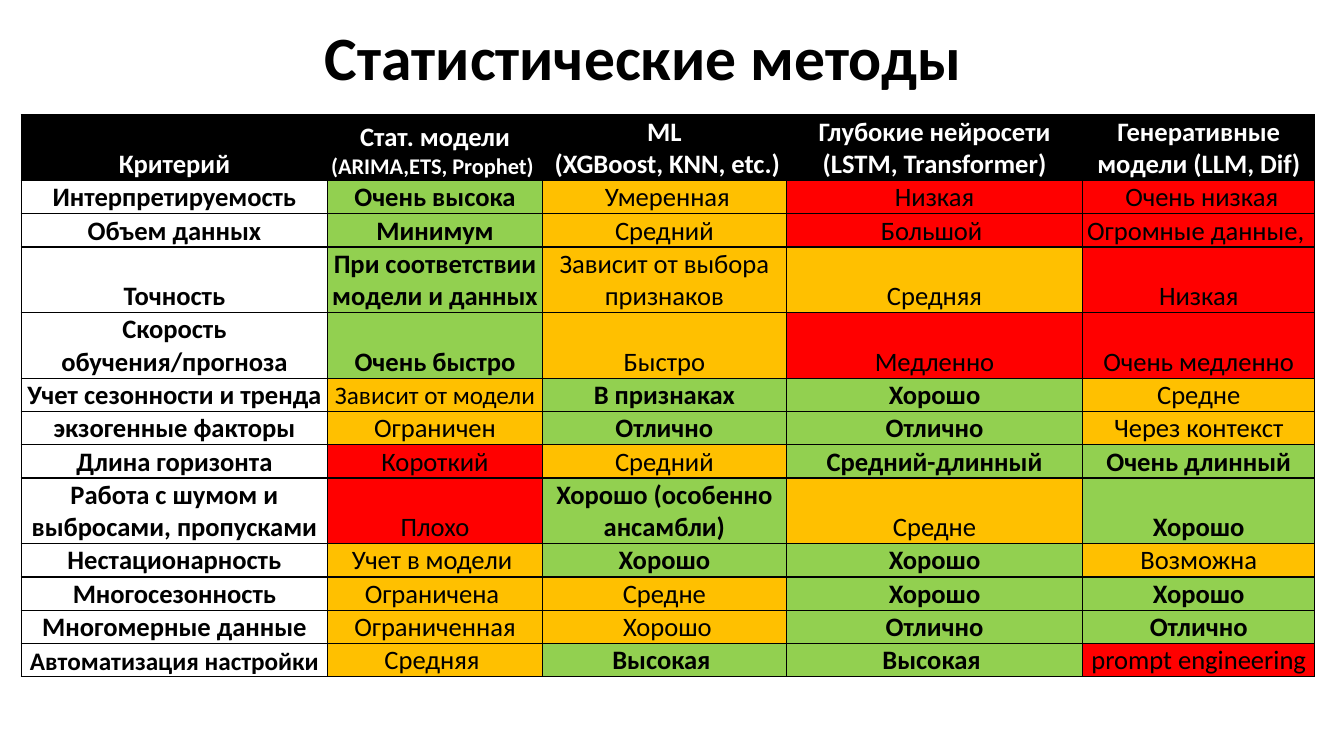
from lxml import etree
from pptx import Presentation
from pptx.dml.color import RGBColor
from pptx.enum.text import MSO_ANCHOR, PP_ALIGN
from pptx.oxml.ns import qn
from pptx.util import Inches, Pt

CENTER = PP_ALIGN.CENTER
MIDDLE, BOTTOM = MSO_ANCHOR.MIDDLE, MSO_ANCHOR.BOTTOM
TITLE_ONLY = 5
BLACK, WHITE = "000000", "FFFFFF"
LEVELS = {"good": "92D050", "fair": "FFC000", "poor": "FF0000"}
COLUMN_WIDTHS = [3.04, 2.13, 2.42, 2.94, 2.3]
SINGLE_ROW, DOUBLE_ROW = 0.33, 0.65
DOUBLE_ROWS = {0, 3, 4, 8}
BODY_SIZE, TIGHT_SIZE, NOTE_SIZE = 19, 18, 16
TIGHT_TEXTS = {"Зависит от модели", "Автоматизация настройки"}

HEADERS = [
    ["Критерий"],
    ["Стат. модели ", "(ARIMA,ETS, Prophet) "],
    ["ML\n (XGBoost, KNN, etc.)"],
    ["Глубокие нейросети (LSTM, Transformer)"],
    ["Генеративные модели (LLM, Dif)"],
]

CRITERIA = [
    ("Интерпретируемость", "good fair poor poor",
     ["Очень высока", " Умеренная", "Низкая", " Очень низкая"]),
    ("Объем данных", "good fair poor poor",
     ["Минимум", "Средний", "Большой ", "Огромные данные, "]),
    ("Точность", "good fair fair poor",
     ["При соответствии модели и данных", "Зависит от выбора признаков",
      "Средняя", "Низкая"]),
    ("Скорость обучения/прогноза", "good fair poor poor",
     ["Очень быстро", "Быстро", "Медленно", "Очень медленно"]),
    ("Учет сезонности и тренда", "fair good good fair",
     ["Зависит от модели", "В признаках", "Хорошо", "Средне"]),
    ("экзогенные факторы", "fair good good fair",
     ["Ограничен", "Отлично", "Отлично", "Через контекст"]),
    ("Длина горизонта", "poor fair good good",
     ["Короткий", "Средний", "Средний-длинный", "Очень длинный"]),
    ("Работа с шумом и выбросами, пропусками", "poor good fair good",
     ["Плохо", "Хорошо (особенно ансамбли)", "Средне", "Хорошо"]),
    ("Нестационарность", "fair good good fair",
     ["Учет в модели ", "Хорошо", "Хорошо", "Возможна"]),
    ("Многосезонность", "fair fair good good",
     ["Ограничена ", "Средне", "Хорошо", "Хорошо"]),
    ("Многомерные данные", "fair fair good good",
     ["Ограниченная", " Хорошо", "Отлично", "Отлично"]),
    ("Автоматизация настройки", "fair good good poor",
     ["Средняя ", "Высокая ", "Высокая ", "prompt engineering"]),
]


def color(value):
    return RGBColor.from_string(value)


class Page:
    font = "Calibri"

    def __init__(self, deck):
        self.slide = deck.slides.add_slide(deck.slide_layouts[TITLE_ONLY])

    def style(self, span, size, ink, bold):
        span.font.name = self.font
        span.font.size = Pt(size)
        span.font.bold = bold
        span.font.color.rgb = color(ink)

    def title(self, text, left, top, width, height):
        box = self.slide.shapes.title
        box.left, box.top = Inches(left), Inches(top)
        box.width, box.height = Inches(width), Inches(height)
        box.text_frame.text = text
        box.text_frame.vertical_anchor = MIDDLE
        para = box.text_frame.paragraphs[0]
        para.alignment = CENTER
        para.line_spacing = 0.9
        self.style(para.runs[0], 44, BLACK, True)

    def table(self, left, top, widths, heights):
        frame = self.slide.shapes.add_table(
            len(heights), len(widths), Inches(left), Inches(top),
            Inches(sum(widths)), Inches(sum(heights)))
        table = frame.table
        table.first_row = table.horz_banding = False
        for column, width in zip(table.columns, widths):
            column.width = Inches(width)
        for row, height in zip(table.rows, heights):
            row.height = Inches(height)
        return table

    def cell(self, cell, text, fill=None, ink=BLACK, bold=True, note=None):
        cell.margin_left = cell.margin_right = cell.margin_top = Inches(0.01)
        cell.margin_bottom = 0
        cell.vertical_anchor = BOTTOM
        para = cell.text_frame.paragraphs[0]
        para.text = text
        para.alignment = CENTER
        size = TIGHT_SIZE if text in TIGHT_TEXTS else BODY_SIZE
        for span in para.runs:
            self.style(span, size, ink, bold)
        if note:
            span = para.add_run()
            span.text = note
            self.style(span, NOTE_SIZE, ink, bold)
        if fill:
            cell.fill.solid()
            cell.fill.fore_color.rgb = color(fill)
        else:
            cell.fill.background()
        self.borders(cell)

    def borders(self, cell):
        properties = cell._tc.get_or_add_tcPr()
        for index, side in enumerate(["lnL", "lnR", "lnT", "lnB"]):
            line = etree.Element(qn("a:" + side), w=str(Pt(1)))
            paint = etree.SubElement(line, qn("a:solidFill"))
            etree.SubElement(paint, qn("a:srgbClr"), val=BLACK)
            properties.insert(index, line)


def main():
    deck = Presentation()
    deck.slide_width, deck.slide_height = Inches(13.33), Inches(7.5)
    page = Page(deck)
    page.title("Статистические методы", 0.35, 0.28, 12.07, 0.64)

    heights = [DOUBLE_ROW if row in DOUBLE_ROWS else SINGLE_ROW
               for row in range(len(CRITERIA) + 1)]
    table = page.table(0.21, 1.14, COLUMN_WIDTHS, heights)
    for column, (text, *notes) in enumerate(HEADERS):
        page.cell(table.cell(0, column), text, BLACK, WHITE,
                  note="".join(notes))
    for row, (criterion, levels, ratings) in enumerate(CRITERIA, 1):
        page.cell(table.cell(row, 0), criterion)
        for column, (level, rating) in enumerate(zip(levels.split(), ratings), 1):
            page.cell(table.cell(row, column), rating, LEVELS[level],
                      bold=level == "good")
    deck.save("out.pptx")


if __name__ == "__main__":
    main()
